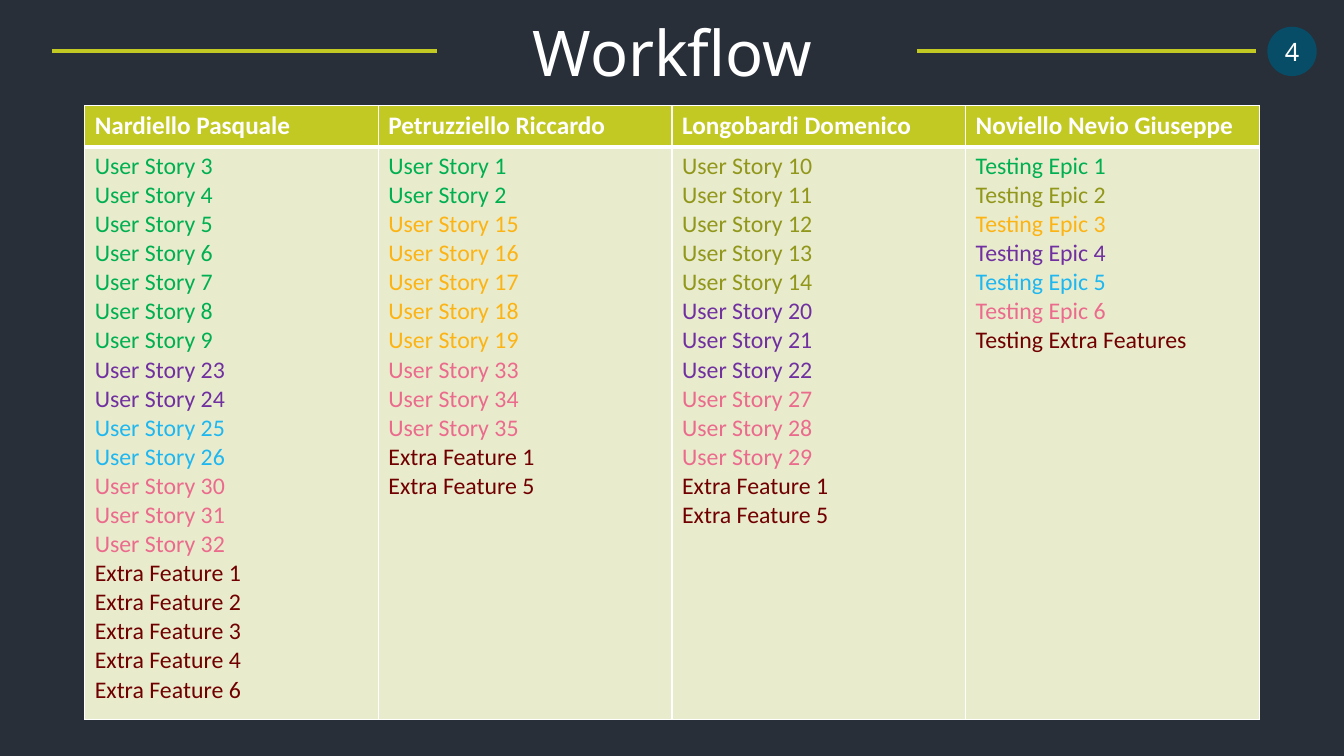
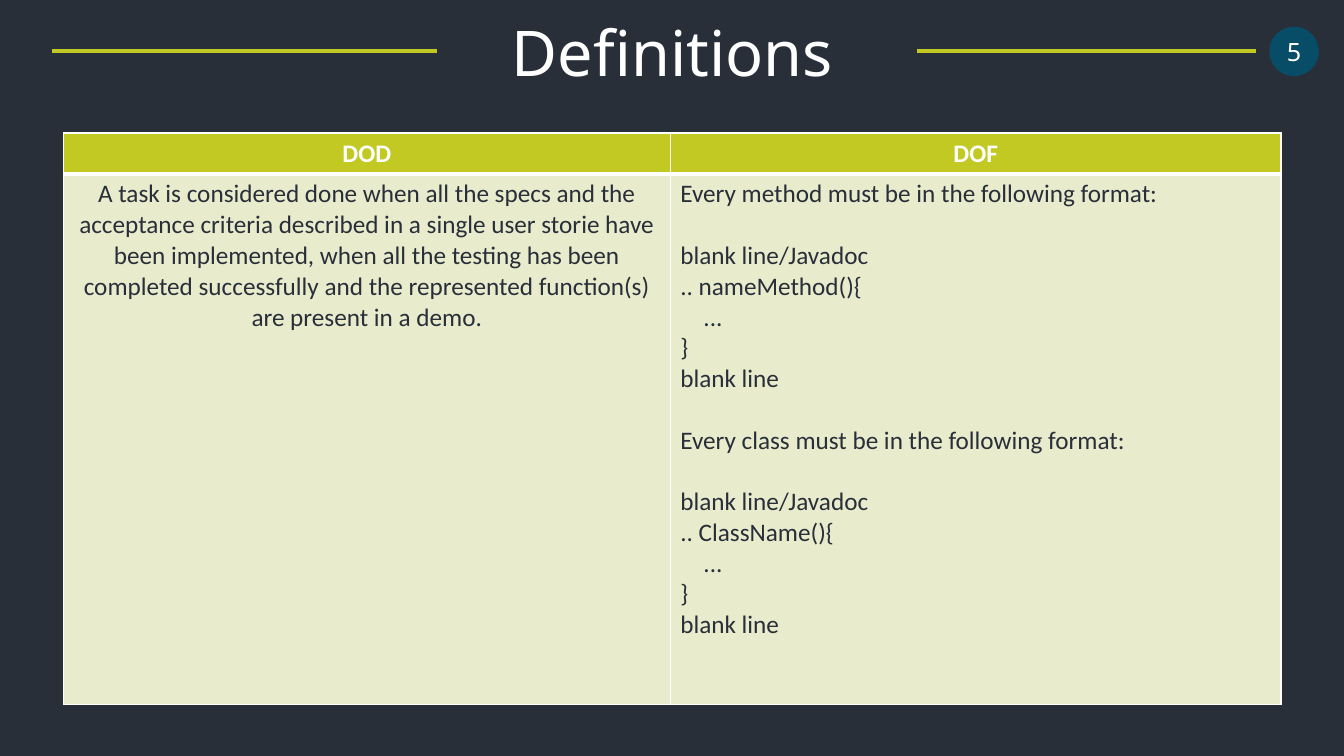
from dataclasses import dataclass

from lxml.etree import SubElement
from pptx import Presentation
from pptx.dml.color import RGBColor
from pptx.enum.shapes import MSO_CONNECTOR, MSO_SHAPE
from pptx.enum.text import MSO_ANCHOR, PP_ALIGN
from pptx.oxml.ns import qn
from pptx.util import Inches, Pt

TITLE_FONT = "Noto Sans"
TABLE_FONT = "Calibri"
TITLE_ONLY = 5
NAVY = "282F39"
LIME = "C2C923"
CREAM = "E9EBCD"
TEAL = "074D67"
WHITE = "FFFFFF"
EXTRA_COLOR = "700000"
EPICS = [
    (range(1, 10), "00B050"),
    (range(10, 15), "91971A"),
    (range(15, 20), "FCB414"),
    (range(20, 25), "7030A0"),
    (range(25, 27), "1EB7F0"),
    (range(27, 36), "EB6B8D"),
]
HEADER_HEIGHT = Inches(0.39)
BLANK_LINE = Pt(22)
CODE_INDENT = Inches(0.23)


@dataclass
class Box:
    left: int
    top: int
    width: int
    height: int

    def percent(self, left, top, width, height):
        return Box(
            self.left + round(self.width * left / 100),
            self.top + round(self.height * top / 100),
            round(self.width * width / 100),
            round(self.height * height / 100),
        )

    def edges(self):
        return self.left, self.top, self.width, self.height


@dataclass
class Line:
    text: str
    color: str = NAVY
    size: int = 18
    bold: bool = False
    align: PP_ALIGN = PP_ALIGN.LEFT
    gap: bool = False
    indent: bool = False


def rgb(color):
    return RGBColor.from_string(color)


def paint(target, color):
    target.fill.solid()
    target.fill.fore_color.rgb = rgb(color)


def style(paragraph, font, size, color, bold=False, align=PP_ALIGN.CENTER):
    paragraph.alignment = align
    paragraph.font.name = font
    paragraph.font.size = Pt(size)
    paragraph.font.bold = bold
    paragraph.font.color.rgb = rgb(color)


def add_rule(slide, box):
    rule = slide.shapes.add_connector(
        MSO_CONNECTOR.STRAIGHT, box.left, box.top, box.left + box.width, box.top
    )
    rule.line.color.rgb = rgb(LIME)
    rule.line.width = Pt(2.75)
    SubElement(rule.element.spPr, qn("a:effectLst"))


def add_badge(slide, box, number):
    badge = slide.shapes.add_shape(MSO_SHAPE.OVAL, *box.edges())
    badge.shadow.inherit = False
    paint(badge, TEAL)
    badge.line.fill.background()
    frame = badge.text_frame
    frame.word_wrap = False
    frame.vertical_anchor = MSO_ANCHOR.MIDDLE
    frame.text = str(number)
    style(frame.paragraphs[0], TITLE_FONT, 18, WHITE)


def add_heading(slide, box, text, number, badge_left):
    title = slide.shapes.title
    title.left, title.top, title.width, title.height = box.percent(15.9, 8, 68.27, 84).edges()
    title.text_frame.text = text
    title.text_frame.word_wrap = True
    title.text_frame.vertical_anchor = MSO_ANCHOR.MIDDLE
    style(title.text_frame.paragraphs[0], TITLE_FONT, 45, WHITE)
    for left, width in [(3.85, 28.7), (68.2, 25.25)]:
        add_rule(slide, box.percent(left, 50, width, 0))
    badge_box = box.percent(badge_left, 26, 0, 48)
    badge_box.width = badge_box.height
    add_badge(slide, badge_box, number)


def set_borders(cell, top, bottom):
    properties = cell._tc.get_or_add_tcPr()
    for side, width in [("L", 1), ("R", 1), ("T", top), ("B", bottom)]:
        border = SubElement(properties, qn(f"a:ln{side}"), w=str(Pt(width)))
        fill = SubElement(border, qn("a:solidFill"))
        SubElement(fill, qn("a:srgbClr"), val=WHITE)


def fill_cell(cell, lines, color):
    paint(cell, color)
    frame = cell.text_frame
    for index, line in enumerate(lines):
        paragraph = frame.add_paragraph() if index else frame.paragraphs[0]
        paragraph.text = line.text
        style(paragraph, TABLE_FONT, line.size, line.color, line.bold, line.align)
        if line.gap:
            paragraph.space_before = BLANK_LINE
        if line.indent:
            paragraph._p.get_or_add_pPr().set("marL", str(CODE_INDENT))


def add_columns(slide, box, columns, shares, header_align):
    table = slide.shapes.add_table(2, len(columns), *box.edges()).table
    table.horz_banding = False
    table.rows[0].height = HEADER_HEIGHT
    table.rows[1].height = box.height - HEADER_HEIGHT
    for index, (heading, lines) in enumerate(columns):
        table.columns[index].width = round(box.width * shares[index] / sum(shares))
        header, body = table.cell(0, index), table.cell(1, index)
        set_borders(header, 1, 3)
        set_borders(body, 3, 1)
        fill_cell(header, [Line(heading, WHITE, bold=True, align=header_align)], LIME)
        fill_cell(body, lines, CREAM)


def story_line(number):
    color = next(color for stories, color in EPICS if number in stories)
    return Line(f"User Story {number}", color, 17)


def member_lines(stories, extras):
    features = [Line(f"Extra Feature {number}", EXTRA_COLOR, 17) for number in extras]
    return [story_line(number) for number in stories] + features


def testing_lines():
    epics = [
        Line(f"Testing Epic {number}", color, 17)
        for number, (_, color) in enumerate(EPICS, 1)
    ]
    return epics + [Line("Testing Extra Features", EXTRA_COLOR, 17)]


def format_lines(subject, signature, gap):
    return [
        Line(f"Every {subject} must be in the following format:", gap=gap),
        Line("blank line/Javadoc", gap=True),
        Line(f".. {signature}(){{"),
        Line("...", indent=True),
        Line("}"),
        Line("blank line"),
    ]


def new_slide(presentation):
    return presentation.slides.add_slide(presentation.slide_layouts[TITLE_ONLY])


def add_workflow(presentation, page, heading_box):
    slide = new_slide(presentation)
    add_heading(slide, heading_box, "Workflow", 4, 94.3)
    columns = [
        ("Nardiello Pasquale",
         member_lines([*range(3, 10), *range(23, 27), *range(30, 33)], [1, 2, 3, 4, 6])),
        ("Petruzziello Riccardo",
         member_lines([1, 2, *range(15, 20), *range(33, 36)], [1, 5])),
        ("Longobardi Domenico",
         member_lines([*range(10, 15), *range(20, 23), *range(27, 30)], [1, 5])),
        ("Noviello Nevio Giuseppe", testing_lines()),
    ]
    add_columns(slide, page.percent(6.3, 14, 87.4, 81), columns, [1] * 4, PP_ALIGN.LEFT)


def add_definitions(presentation, page, heading_box):
    slide = new_slide(presentation)
    add_heading(slide, heading_box, "Definitions", 5, 94.45)
    done = (
        "A task is considered done when all the specs and the acceptance criteria "
        "described in a single user storie have been implemented, when all the "
        "testing has been completed successfully and the represented function(s) "
        "are present in a demo."
    )
    columns = [
        ("DOD", [Line(done, align=PP_ALIGN.CENTER)]),
        ("DOF", format_lines("method", "nameMethod", False)
         + format_lines("class", "ClassName", True)),
    ]
    add_columns(
        slide, page.percent(4.72, 17.6, 90.6, 75.4), columns, [6.02, 6.06], PP_ALIGN.CENTER
    )


def main():
    presentation = Presentation()
    presentation.slide_width = Inches(13.33)
    presentation.slide_height = Inches(7.5)
    paint(presentation.slide_master.background, NAVY)
    page = Box(0, 0, presentation.slide_width, presentation.slide_height)
    heading_box = page.percent(0, 0, 100, 13.6)
    add_workflow(presentation, page, heading_box)
    add_definitions(presentation, page, heading_box)
    presentation.save("out.pptx")


if __name__ == "__main__":
    main()
